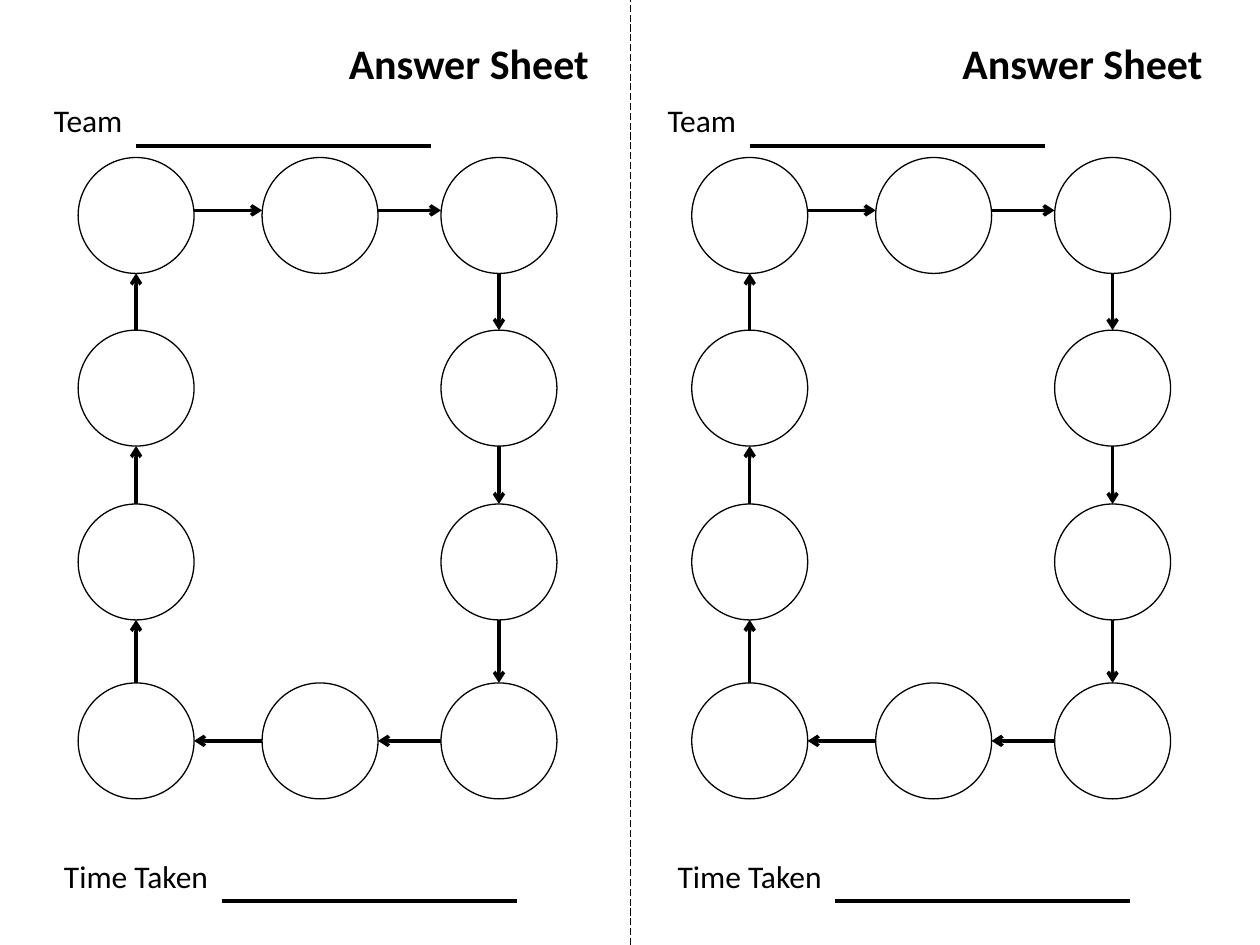
from pptx import Presentation, util as u
from pptx.dml.color import RGBColor
from pptx.enum import dml, shapes, text
from pptx.oxml.ns import qn
from lxml import etree

BLACK = RGBColor(0, 0, 0)
WHITE = RGBColor(255, 255, 255)
SIZE = 0.92
COLS = (0.62, 2.08, 3.5)
ROWS = (1.25, 2.62, 4, 5.42)
RING = [(0, 0), (1, 0), (2, 0), (2, 1), (2, 2),
        (2, 3), (1, 3), (0, 3), (0, 2), (0, 1)]


class Sheet:
    """Draws the parts of an answer sheet on one slide, shifted by dx."""

    def __init__(self, slide, font="Calibri"):
        self.slide = slide
        self.font = font
        self.dx = 0

    def label(self, words, left, top, width, height, size, bold=False):
        box = self.slide.shapes.add_textbox(
            u.Inches(left + self.dx), u.Inches(top), u.Inches(width), u.Inches(height))
        frame = box.text_frame
        frame.text = words
        frame.word_wrap = False
        frame.auto_size = text.MSO_AUTO_SIZE.SHAPE_TO_FIT_TEXT
        font = frame.paragraphs[0].runs[0].font
        font.name, font.size, font.bold = self.font, u.Pt(size), bold
        font.color.rgb = BLACK

    def line(self, x1, y1, x2, y2, width=2, dash=None, arrow=False):
        line = self.slide.shapes.add_connector(
            shapes.MSO_CONNECTOR.STRAIGHT, u.Inches(x1 + self.dx), u.Inches(y1),
            u.Inches(x2 + self.dx), u.Inches(y2))
        line.line.color.rgb = BLACK
        line.line.width = u.Pt(width)
        if dash:
            line.line.dash_style = dash
        props = line._element.spPr
        if arrow:
            etree.SubElement(props.find(qn("a:ln")), qn("a:tailEnd"), type="arrow")
        etree.SubElement(props, qn("a:effectLst"))

    def circle(self, left, top, filled=False):
        ring = self.slide.shapes.add_shape(
            shapes.MSO_SHAPE.OVAL, u.Inches(left + self.dx), u.Inches(top),
            u.Inches(SIZE), u.Inches(SIZE))
        ring.shadow.inherit = False
        if filled:
            ring.fill.solid()
            ring.fill.fore_color.rgb = WHITE
        else:
            ring.fill.background()
        ring.line.color.rgb = BLACK
        ring.line.width = u.Pt(0.75)

    def arrow(self, start, end):
        (c1, r1), (c2, r2) = start, end
        half = SIZE / 2
        gap_x, gap_y = (c2 - c1) * half, (r2 - r1) * half
        mid = half - 0.04 if r1 == r2 == 0 else half
        self.line(COLS[c1] + half + gap_x, ROWS[r1] + mid + gap_y,
                  COLS[c2] + half - gap_x, ROWS[r2] + mid - gap_y, arrow=True)

    def half(self, dx):
        self.dx = dx
        self.label("Answer Sheet", 2.67, 0.25, 2.13, 0.5, 24, bold=True)
        self.label("Team", 0.33, 0.75, 0.75, 0.4, 18)
        self.line(1.08, 1.16, 3.42, 1.16)
        for start, end in zip(RING, RING[1:] + RING[:1]):
            self.arrow(start, end)
        for col, row in RING:
            self.circle(COLS[col], ROWS[row], filled=(col, row) == (1, 0))
        self.label("Time Taken", 0.41, 6.75, 1.36, 0.4, 18)
        self.line(1.76, 7.15, 4.1, 7.15)


def main():
    deck = Presentation()
    deck.slide_width, deck.slide_height = u.Inches(10), u.Inches(7.5)
    sheet = Sheet(deck.slides.add_slide(deck.slide_layouts[6]))
    sheet.line(5, 7.5, 5, 0, width=0.5, dash=dml.MSO_LINE.LONG_DASH)
    for dx in (0, 4.87):
        sheet.half(dx)
    deck.save("out.pptx")


if __name__ == "__main__":
    main()
